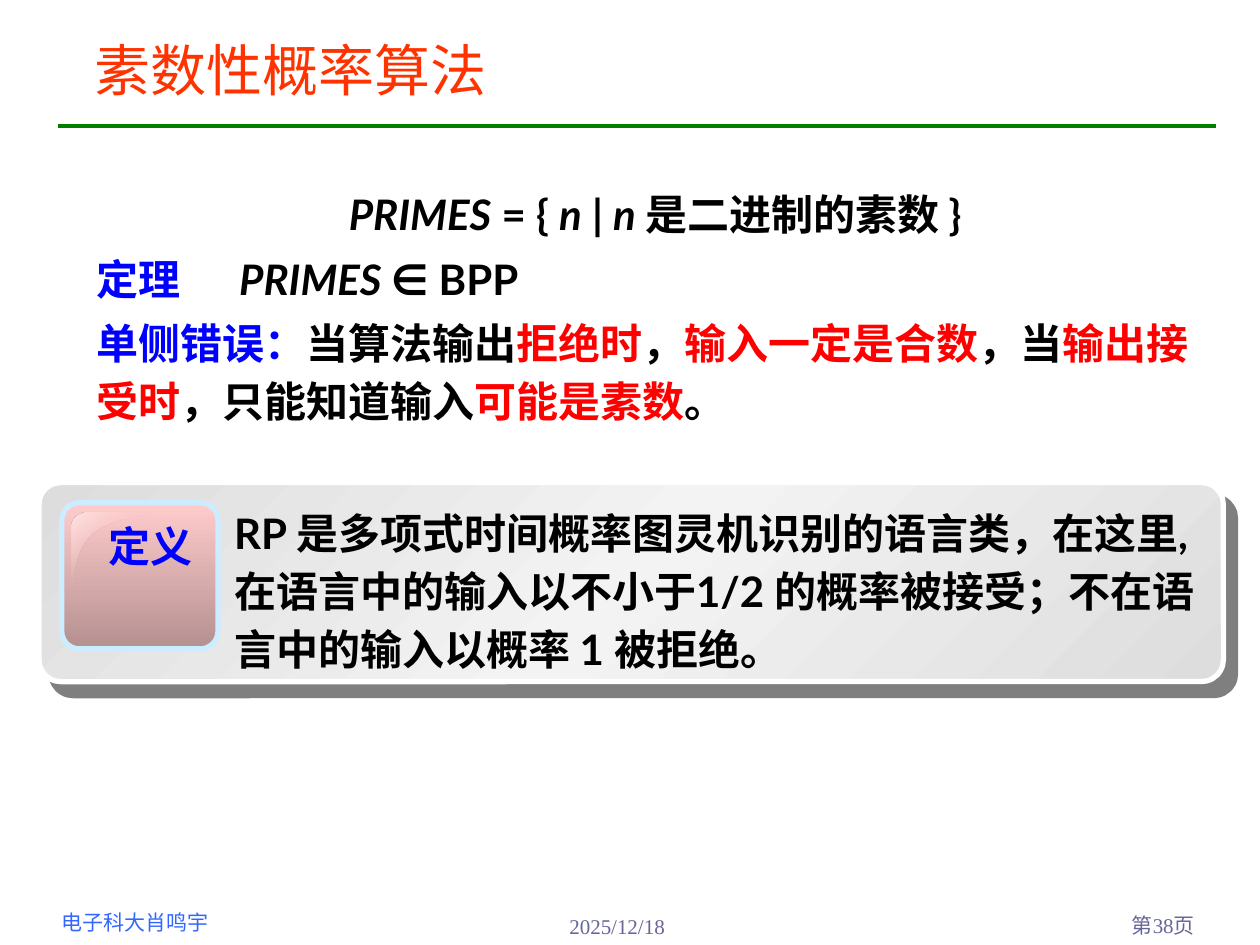
import lxml.etree
import pptx
import pptx.dml.color
import pptx.enum.shapes
import pptx.enum.text
import pptx.oxml.ns
import pptx.util

Inches, Pt = pptx.util.Inches, pptx.util.Pt
RGBColor = pptx.dml.color.RGBColor
ALIGN = pptx.enum.text.PP_ALIGN
ANCHOR = pptx.enum.text.MSO_ANCHOR
ROUNDED = pptx.enum.shapes.MSO_SHAPE.ROUNDED_RECTANGLE
qn = pptx.oxml.ns.qn

BLACK = RGBColor(0x00, 0x00, 0x00)
WHITE = RGBColor(0xFF, 0xFF, 0xFF)
BLUE = RGBColor(0x00, 0x00, 0xFF)
RED = RGBColor(0xFF, 0x00, 0x00)
GREEN = RGBColor(0x00, 0x80, 0x00)
TITLE_ORANGE = RGBColor(0xFF, 0x33, 0x00)
AUTHOR_BLUE = RGBColor(0x33, 0x66, 0xFF)
FOOTER_PURPLE = RGBColor(0x66, 0x66, 0x99)
PANEL_EDGE = RGBColor(0xDD, 0xDD, 0xDD)
PANEL_MIDDLE = RGBColor(0xF3, 0xF3, 0xF3)
BADGE_TOP = RGBColor(0xFF, 0xCC, 0xCC)
BADGE_BOTTOM = RGBColor(0xB5, 0x90, 0x90)
BADGE_LINE = RGBColor(0xCC, 0xEC, 0xFF)
GLOSS = RGBColor(0xFF, 0xE5, 0xE5)
CJK_FONT = "Noto Sans CJK SC"

deck = pptx.Presentation()
deck.slide_width, deck.slide_height = Inches(10), Inches(7.5)
page = deck.slides.add_slide(deck.slide_layouts[6])


def add_text(paragraphs, left, top, width, height, size=24, font="Lato", color=BLACK,
             bold=False, aligns=(ALIGN.LEFT,), anchor=ANCHOR.TOP, spacing=1.0, tab=None):
    """Each paragraph is a string or a list of (text, color, italic) spans."""
    box = page.shapes.add_textbox(Inches(left), Inches(top), Inches(width), Inches(height))
    frame = box.text_frame
    frame.word_wrap = True
    frame.vertical_anchor = anchor
    for index, spans in enumerate(paragraphs):
        para = frame.paragraphs[0] if index == 0 else frame.add_paragraph()
        para.alignment = aligns[min(index, len(aligns) - 1)]
        para.line_spacing = spacing
        if index:
            para.space_before = Pt(3.6)
        if tab:
            tabs = lxml.etree.SubElement(para._p.get_or_add_pPr(), qn("a:tabLst"))
            lxml.etree.SubElement(tabs, qn("a:tab"), pos=str(Inches(tab)), algn="l")
        if isinstance(spans, str):
            spans = [(spans, color, False)]
        for text, span_color, italic in spans:
            span = para.add_run()
            span.text = text
            span.font.size = Pt(size)
            span.font.bold = bold
            span.font.italic = italic
            span.font.color.rgb = span_color
            span.font.name = font
            lxml.etree.SubElement(span._r.get_or_add_rPr(), qn("a:ea"), typeface=CJK_FONT)


def set_gradient(shape, stops, angle):
    """Stops are (percent, color, opacity percent); angle runs clockwise."""
    shape.shadow.inherit = False
    shape.fill.gradient()
    shape.fill.gradient_angle = 360 - angle
    stop_list = shape._element.spPr.find(qn("a:gradFill")).find(qn("a:gsLst"))
    for old_stop in list(stop_list):
        stop_list.remove(old_stop)
    for position, color, opacity in stops:
        stop = lxml.etree.SubElement(stop_list, qn("a:gs"), pos=str(position * 1000))
        tint = lxml.etree.SubElement(stop, qn("a:srgbClr"), val=str(color))
        if opacity < 100:
            lxml.etree.SubElement(tint, qn("a:alpha"), val=str(opacity * 1000))


# Header rule, footer and title
rule = page.shapes.add_connector(pptx.enum.shapes.MSO_CONNECTOR.STRAIGHT,
                                 Inches(0.46), Inches(1), Inches(9.65), Inches(1))
rule.line.color.rgb = GREEN
rule.line.width = Pt(2.25)
lxml.etree.SubElement(rule._element.spPr, qn("a:effectLst"))

add_text(["电子科大肖鸣宇"], 0.39, 7.17, 2.01, 0.3, size=12, font="Arial", color=AUTHOR_BLUE)
add_text(["2025/12/18"], 4.42, 7.2, 1.99, 0.41, size=12, font="Times New Roman",
         color=FOOTER_PURPLE)
add_text(["第38页"], 8.7, 7.19, 0.88, 0.31, size=12, font="Times New Roman",
         color=FOOTER_PURPLE, aligns=(ALIGN.RIGHT,))
add_text(["素数性概率算法"], 0.65, 0.21, 8.83, 0.67, size=32, font=CJK_FONT,
         color=TITLE_ORANGE, anchor=ANCHOR.MIDDLE)

# Definition panel with its badge
panel = page.shapes.add_shape(ROUNDED, Inches(0.31), Inches(3.83), Inches(9.4), Inches(1.58))
panel.adjustments[0] = 0.11
set_gradient(panel, [(0, PANEL_EDGE, 100), (50, PANEL_MIDDLE, 100), (100, PANEL_EDGE, 100)], 45)
panel.line.color.rgb = WHITE
panel.line.width = Pt(3)
effects = panel._element.spPr.find(qn("a:effectLst"))
shadow = lxml.etree.SubElement(effects, qn("a:outerShdw"), blurRad="0", dist=str(Pt(10.6)),
                               dir=str(49 * 60000), algn="ctr", rotWithShape="0")
shadow_color = lxml.etree.SubElement(shadow, qn("a:srgbClr"), val=str(BLACK))
lxml.etree.SubElement(shadow_color, qn("a:alpha"), val="50000")

badge = page.shapes.add_shape(ROUNDED, Inches(0.49), Inches(3.99), Inches(1.24), Inches(1.16))
badge.adjustments[0] = 0.12
set_gradient(badge, [(0, BADGE_TOP, 100), (100, BADGE_BOTTOM, 100)], 90)
badge.line.color.rgb = BADGE_LINE
badge.line.width = Pt(3)

# The gloss outline is sampled from cubic curves
gloss_curves = [
    [(0.69, 4.07), (0.63, 4.07), (0.57, 4.12), (0.57, 4.18)],
    [(0.57, 4.64), (0.6, 4.65), (0.58, 4.37), (0.74, 4.24)],
    [(0.74, 4.24), (0.89, 4.11), (1.19, 4.1), (1.18, 4.07)],
]
STEPS = 12
outline = []
for curve in gloss_curves:
    for step in range(STEPS + 1):
        t = step / STEPS
        weights = ((1 - t) ** 3, 3 * t * (1 - t) ** 2, 3 * t ** 2 * (1 - t), t ** 3)
        outline.append(tuple(Inches(sum(w * point[axis] for w, point in zip(weights, curve)))
                             for axis in (0, 1)))
builder = page.shapes.build_freeform(*outline[0])
builder.add_line_segments(outline[1:], close=True)
gloss = builder.convert_to_shape()
set_gradient(gloss, [(0, GLOSS, 100), (50, BADGE_TOP, 0), (100, GLOSS, 100)], 45)
gloss.line.fill.background()

add_text(["定义"], 0.66, 4.08, 1.07, 0.5, font=CJK_FONT, color=BLUE, bold=True,
         aligns=(ALIGN.CENTER,))
add_text(["RP 是多项式时间概率图灵机识别的语言类，在这里, 在语言中的输入以不小于1/2 的概率被接受；"
          "不在语言中的输入以概率 1 被拒绝。"],
         1.76, 3.92, 8, 1.48, bold=True, spacing=1.15)

# Statement of the theorem
add_text(
    [
        [("PRIMES", BLACK, True), (" = { ", BLACK, False), ("n", BLACK, True),
         (" | ", BLACK, False), ("n ", BLACK, True), ("是二进制的素数 }", BLACK, False)],
        [("定理\t", BLUE, False), ("PRIMES ", BLACK, True), ("∈ BPP", BLACK, False)],
        [("单侧错误：", BLUE, False), ("当算法输出", BLACK, False), ("拒绝时", RED, False),
         ("，", BLACK, False), ("输入一定是合数", RED, False), ("，当", BLACK, False),
         ("输出接受时", RED, False), ("，只能知道输入", BLACK, False),
         ("可能是素数", RED, False), ("。", BLACK, False)],
    ],
    0.67, 1.39, 9.06, 2.06, bold=True, spacing=1.15, tab=1.13,
    aligns=(ALIGN.CENTER, ALIGN.LEFT))

deck.save("out.pptx")
